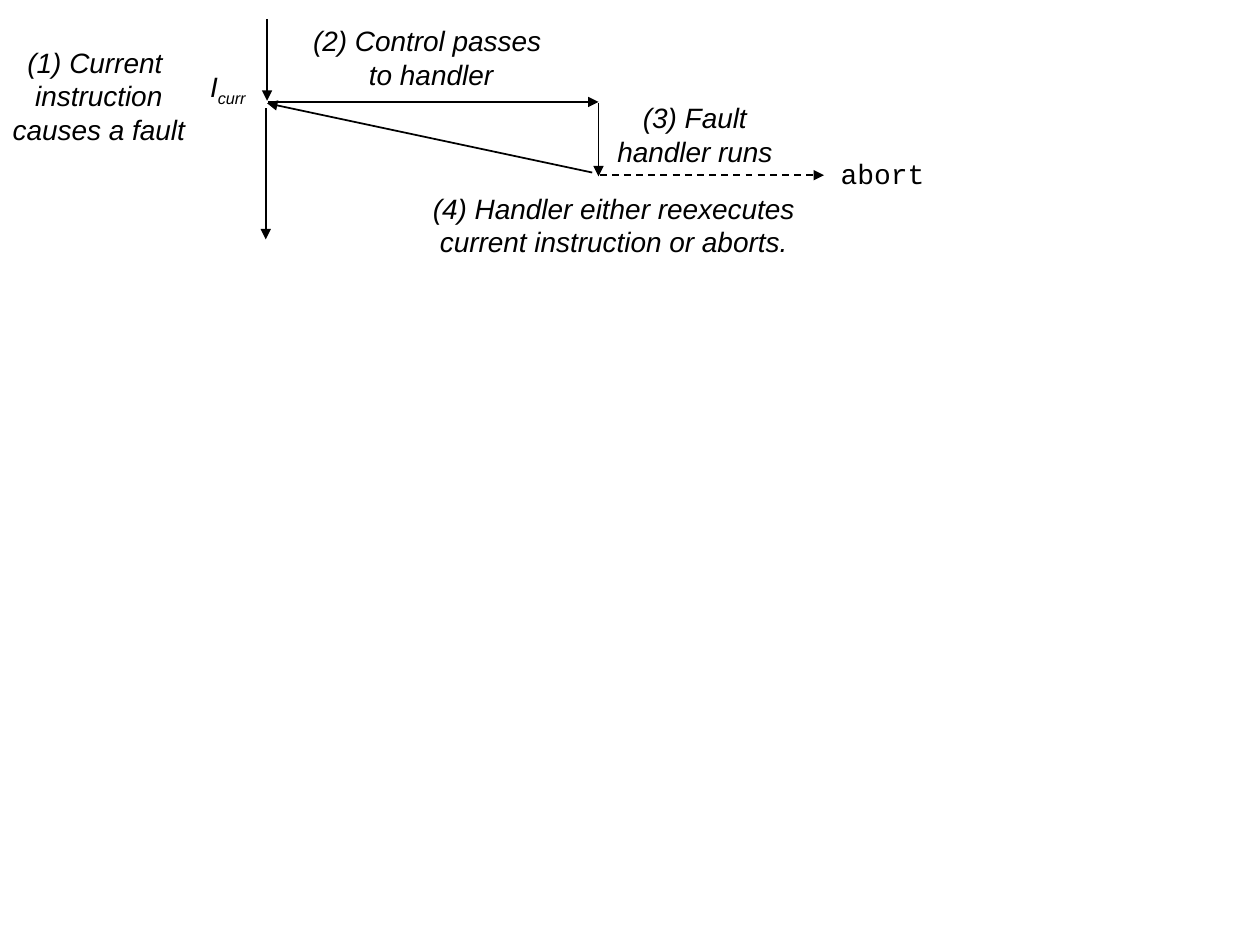
from typing import NamedTuple

from lxml import etree
from pptx import Presentation
from pptx import util as u
from pptx.dml.color import RGBColor
from pptx.enum import dml, shapes, text
from pptx.oxml.ns import qn

BLACK = "000000"
CURRENT_X, HANDLER_X = 152.6, 342  # the two flows of control
FAULT_Y, RETURN_Y = 58.3, 100.1  # where the handler starts and ends


class Arrow(NamedTuple):
    start: tuple[float, float]
    end: tuple[float, float]
    dashed: bool = False


class Label(NamedTuple):
    lines: list[str]
    box: tuple[float, float, float, float]
    font: str = "Arial"
    italic: bool = True
    align: text.PP_ALIGN = text.PP_ALIGN.CENTER
    anchor: text.MSO_ANCHOR = text.MSO_ANCHOR.TOP
    wrap: bool = False
    subscript: str = ""


ARROWS = [
    Arrow((CURRENT_X, 10.8), (CURRENT_X, 57.6)),
    Arrow((153.4, FAULT_Y), (HANDLER_X, FAULT_Y)),
    Arrow((HANDLER_X, 59), (HANDLER_X, 100.8)),
    Arrow((338.4, 98.6), (CURRENT_X, 59)),
    Arrow((151.9, 61.9), (151.9, 136.8)),
    Arrow((342.7, RETURN_Y), (470.9, RETURN_Y), dashed=True),
]

LABELS = [
    Label(["(1) Current ", "instruction", "causes a fault"], (0, 22.3, 113, 64.8),
          anchor=text.MSO_ANCHOR.MIDDLE),
    Label(["I"], (113, 36, 38.2, 26.6), align=text.PP_ALIGN.LEFT, subscript="curr"),
    Label(["(2) Control passes ", "to handler"], (171.4, 10.1, 149.8, 45.4)),
    Label(["(3) Fault", "handler runs"], (338.4, 54, 117.4, 45.4), wrap=True),
    Label(["(4) Handler either reexecutes", "current instruction or aborts."],
          (239.8, 105.8, 221.8, 45.4)),
    Label(["abort"], (473, 85.7, 62.6, 26.6), font="Courier New", italic=False,
          anchor=text.MSO_ANCHOR.MIDDLE),
]


def colour(hex_value: str) -> RGBColor:
    return RGBColor.from_string(hex_value)


def add_text(paragraph, words: str, *, font: str, italic: bool, size: float = 16,
             baseline: int = 0) -> None:
    run = paragraph.add_run()
    run.text = words
    run.font.name, run.font.size, run.font.italic = font, u.Pt(size), italic
    run.font.color.rgb = colour(BLACK)
    if baseline:
        run._r.get_or_add_rPr().set("baseline", str(baseline * 1000))


def draw_label(slide, label: Label) -> None:
    frame = slide.shapes.add_textbox(*map(u.Pt, label.box)).text_frame
    frame.word_wrap = label.wrap
    frame.auto_size = text.MSO_AUTO_SIZE.SHAPE_TO_FIT_TEXT
    frame.vertical_anchor = label.anchor
    for index, line in enumerate(label.lines):
        paragraph = frame.add_paragraph() if index else frame.paragraphs[0]
        paragraph.alignment = label.align
        add_text(paragraph, line, font=label.font, italic=label.italic)
    if label.subscript:
        add_text(paragraph, label.subscript, font=label.font, italic=label.italic,
                 baseline=-25)


def draw_arrow(slide, arrow: Arrow) -> None:
    connector = slide.shapes.add_connector(
        shapes.MSO_CONNECTOR.STRAIGHT, *map(u.Pt, arrow.start + arrow.end))
    connector.line.color.rgb = colour(BLACK)
    connector.line.width = u.Pt(1)
    if arrow.dashed:
        connector.line.dash_style = dml.MSO_LINE.DASH
    properties = connector._element.spPr
    etree.SubElement(properties.find(qn("a:ln")), qn("a:tailEnd"), type="triangle")
    etree.SubElement(properties, qn("a:effectLst"))


def main() -> None:
    deck = Presentation()
    deck.slide_width, deck.slide_height = u.Pt(720), u.Pt(540)
    slide = deck.slides.add_slide(deck.slide_layouts[6])

    # Flow of control
    for arrow in ARROWS:
        draw_arrow(slide, arrow)

    # Steps and outcomes
    for label in LABELS:
        draw_label(slide, label)

    deck.save("out.pptx")


if __name__ == "__main__":
    main()
